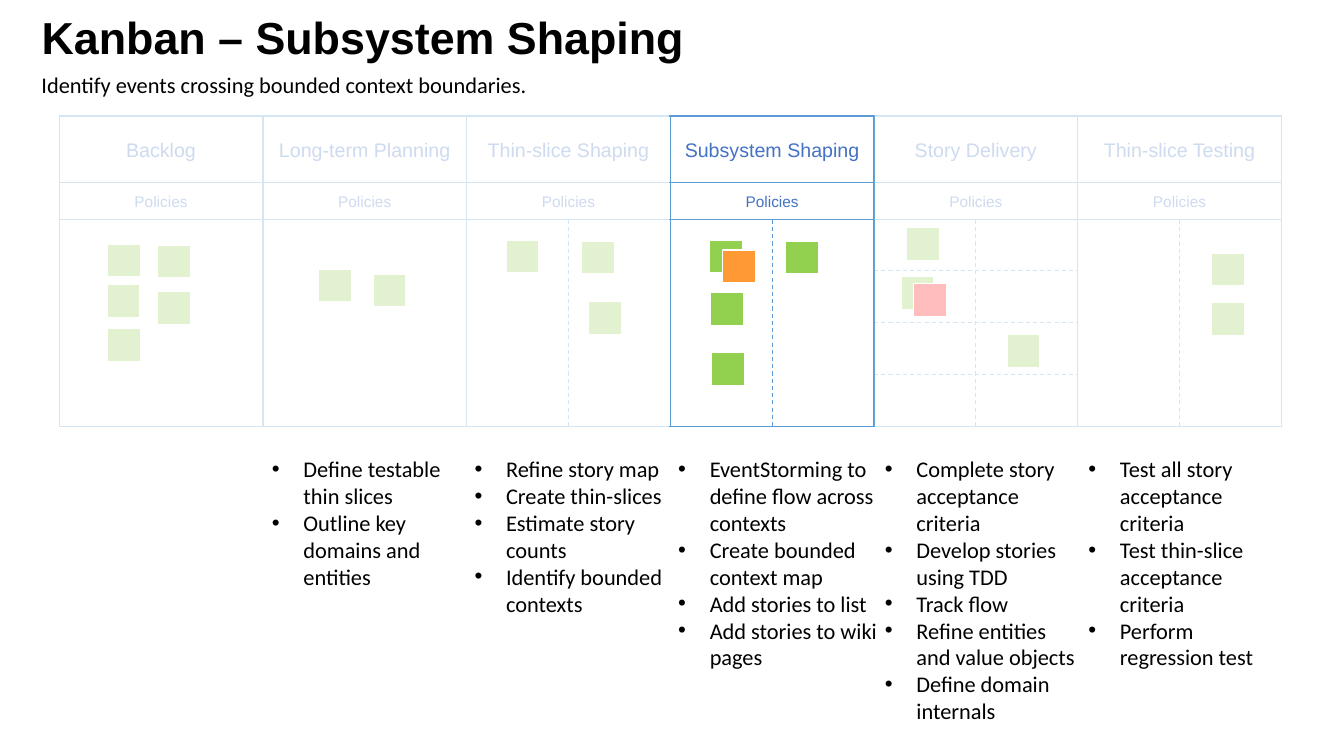
"""Build the Kanban board slide on subsystem shaping."""
from lxml.etree import SubElement
from pptx import Presentation
from pptx.dml.color import RGBColor
from pptx.enum.dml import MSO_LINE_DASH_STYLE as Dash
from pptx.enum.shapes import MSO_CONNECTOR as Connector, MSO_SHAPE as Shape
from pptx.enum.text import MSO_ANCHOR as Anchor, MSO_AUTO_SIZE as AutoSize, PP_ALIGN as Align
from pptx.oxml.ns import qn
from pptx.util import Pt

BLACK, WHITE, EDGE, INK = "000000", "FFFFFF", "5B9BD5", "4472C4"
GREEN, ORANGE, RED = "92D050", "FF9933", "FF0000"
LEFT, COLUMN = 42.3, 145.5
TOP, POLICY_TOP, CARDS_TOP, BOTTOM = 83, 130.5, 157, 304.5
CARD = 23.6
BULLETS_TOP, INDENT = 321.8, 22.5

STAGES = [
    ("Backlog", False,
     [(76.5, 203), (77, 174.2), (112.3, 175), (112.3, 208.1), (77, 234.7)]),
    ("Long-term Planning", False, [(227.5, 192.2), (266.4, 195.8)]),
    ("Thin-slice Shaping", True, [(361.4, 171.4), (420.5, 215.3), (415.4, 172.1)]),
    ("Subsystem Shaping", True,
     [(506.9, 171.4), (516.2, 178.6, ORANGE), (507.6, 208.8), (508.3, 252),
      (560.9, 172.1)]),
    ("Story Delivery", True,
     [(647.3, 162.7), (643.7, 197.3), (652.3, 202.3, RED), (719.3, 239)]),
    ("Thin-slice Testing", True, [(865.4, 180.7), (865.4, 216)]),
]
ACTIVITIES = [
    (187.2, 146.2, ["Define testable thin slices", "Outline key domains and entities"]),
    (331.9, 156.2, ["Refine story map", "Create thin-slices", "Estimate story counts",
                    "Identify bounded contexts"]),
    (477.4, 156.2, ["EventStorming to define flow across contexts",
                    "Create bounded context map", "Add stories to list",
                    "Add stories to wiki pages"]),
    (625, 156.2, ["Complete story acceptance criteria", "Develop stories using TDD",
                  "Track flow", "Refine entities and value objects",
                  "Define domain internals"]),
    (770.4, 156.2, ["Test all story acceptance criteria",
                    "Test thin-slice acceptance criteria", "Perform regression test"]),
]


def rgb(value):
    """Turn a hex string into a colour."""
    return RGBColor.from_string(value)


class Board:
    """Hold the slide and draw each kind of element in one style."""

    def __init__(self, slide):
        """Keep the current slide."""
        self.slide = slide
        self.shapes = slide.shapes

    def style(self, paragraph, size, name, color, bold=False):
        """Format the font of a paragraph's runs."""
        for run in paragraph.runs:
            font = run.font
            font.size, font.name, font.bold = Pt(size), name, bold
            font.color.rgb = rgb(color)

    def title(self, text, left, top, width, height):
        """Place and format the title."""
        title = self.shapes.title
        title.left, title.top = Pt(left), Pt(top)
        title.width, title.height = Pt(width), Pt(height)
        frame = title.text_frame
        frame.text = text
        frame.auto_size = AutoSize.NONE
        frame.vertical_anchor = Anchor.MIDDLE
        heading = frame.paragraphs[0]
        heading.alignment, heading.line_spacing = Align.LEFT, 0.9
        self.style(heading, 32, "Arial", BLACK, True)

    def text(self, lines, left, top, width, height, bulleted=False):
        """Add a text box with one paragraph a line."""
        frame = self.shapes.add_textbox(Pt(left), Pt(top), Pt(width), Pt(height)).text_frame
        frame.word_wrap = True
        frame.text = "\n".join(lines)
        for paragraph in frame.paragraphs:
            if bulleted:
                self.bullet(paragraph)
            self.style(paragraph, 16, "Calibri", BLACK)

    def bullet(self, paragraph):
        """Give a paragraph a round bullet and a hanging indent."""
        props = paragraph._p.get_or_add_pPr()
        props.set("marL", str(Pt(INDENT)))
        props.set("indent", str(-Pt(INDENT)))
        SubElement(SubElement(props, qn("a:buClr")), qn("a:srgbClr"), val=BLACK)
        SubElement(props, qn("a:buFont"), typeface="Arial")
        SubElement(props, qn("a:buChar"), char="•")

    def box(self, left, top, width, height, fill=WHITE, edge=EDGE):
        """Add a plain rectangle."""
        box = self.shapes.add_shape(Shape.RECTANGLE, Pt(left), Pt(top), Pt(width), Pt(height))
        box.shadow.inherit = False
        box.fill.solid()
        box.fill.fore_color.rgb = rgb(fill)
        if edge:
            box.line.color.rgb = rgb(edge)
            box.line.width = Pt(1)
        else:
            box.line.fill.background()
        return box

    def cell(self, text, size, left, top, bottom):
        """Add a labelled cell one column wide."""
        frame = self.box(left, top, COLUMN, bottom - top).text_frame
        frame.margin_left = frame.margin_right = Pt(3)
        frame.word_wrap = True
        frame.vertical_anchor = Anchor.MIDDLE
        frame.text = text
        label = frame.paragraphs[0]
        label.alignment = Align.CENTER
        self.style(label, size, "Arial", INK)

    def divider(self, left, top, right, bottom):
        """Add a dashed line."""
        divider = self.shapes.add_connector(
            Connector.STRAIGHT, Pt(left), Pt(top), Pt(right), Pt(bottom))
        divider.line.color.rgb = rgb(EDGE)
        divider.line.width = Pt(0.75)
        divider.line.dash_style = Dash.DASH
        SubElement(divider._element.spPr, qn("a:effectLst"))

    def card(self, left, top, fill=GREEN):
        """Add a story card."""
        self.box(left, top, CARD, CARD, fill, WHITE)

    def veil(self, left, top, width, height):
        """Add a translucent white cover that fades inactive stages."""
        veil = self.box(left, top, width, height, WHITE, None)
        color = veil._element.spPr.find(qn("a:solidFill")).find(qn("a:srgbClr"))
        SubElement(color, qn("a:alpha"), val="74000")

    def stage(self, left, name, is_split, cards):
        """Add one column of the board with its cards."""
        self.box(left, TOP, COLUMN, BOTTOM - TOP)
        self.cell(name, 14, left, TOP, POLICY_TOP)
        self.cell("Policies", 11, left, POLICY_TOP, CARDS_TOP)
        if is_split:
            middle = left + COLUMN / 2
            self.divider(middle, CARDS_TOP, middle, BOTTOM)
        if name == "Story Delivery":
            for lane in range(3):
                lane_top = 193 + 37.2 * lane
                self.divider(left, lane_top, left + COLUMN, lane_top)
        for card in cards:
            self.card(*card)


def main():
    """Build and save the slide."""
    deck = Presentation()
    deck.slide_width, deck.slide_height = Pt(960), Pt(540)
    board = Board(deck.slides.add_slide(deck.slide_layouts[5]))
    board.title("Kanban – Subsystem Shaping", 22.5, 9.4, 510, 38.9)
    board.text(["Identify events crossing bounded context boundaries."], 22.5, 47.5, 832, 26.6)
    for index, (name, is_split, cards) in enumerate(STAGES):
        board.stage(LEFT + COLUMN * index, name, is_split, cards)
    for left, width, lines in ACTIVITIES:
        board.text(lines, left, BULLETS_TOP, width, 200, bulleted=True)
    board.veil(18, 78.5, 460, 229)
    board.veil(625, 78, 308, 229)
    deck.save("out.pptx")


if __name__ == "__main__":
    main()
